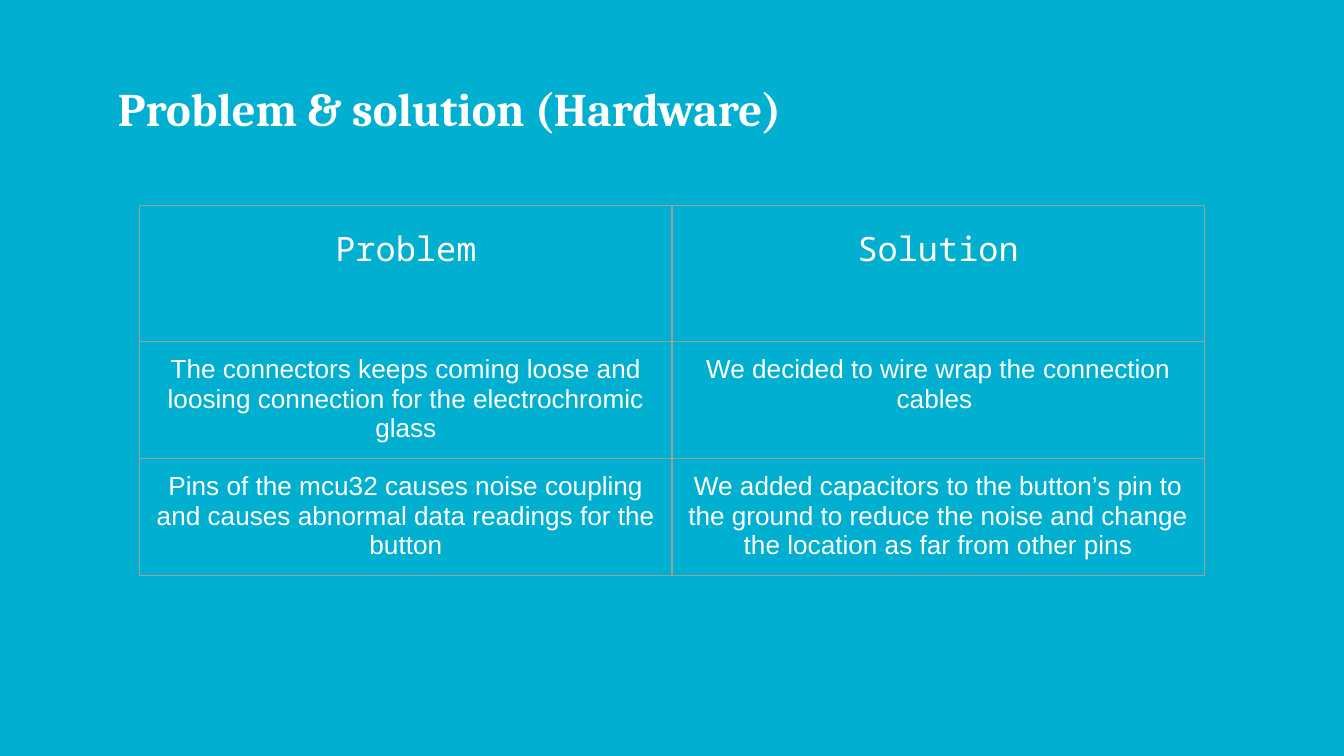
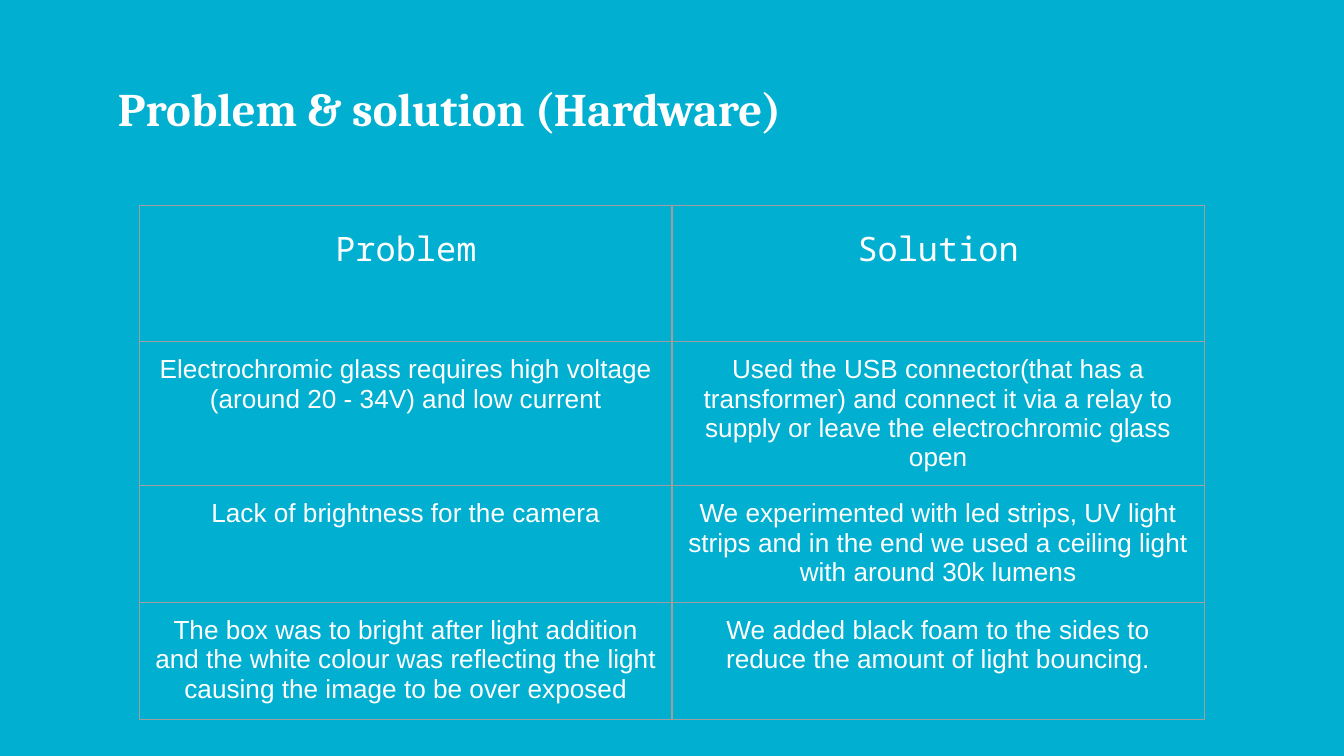
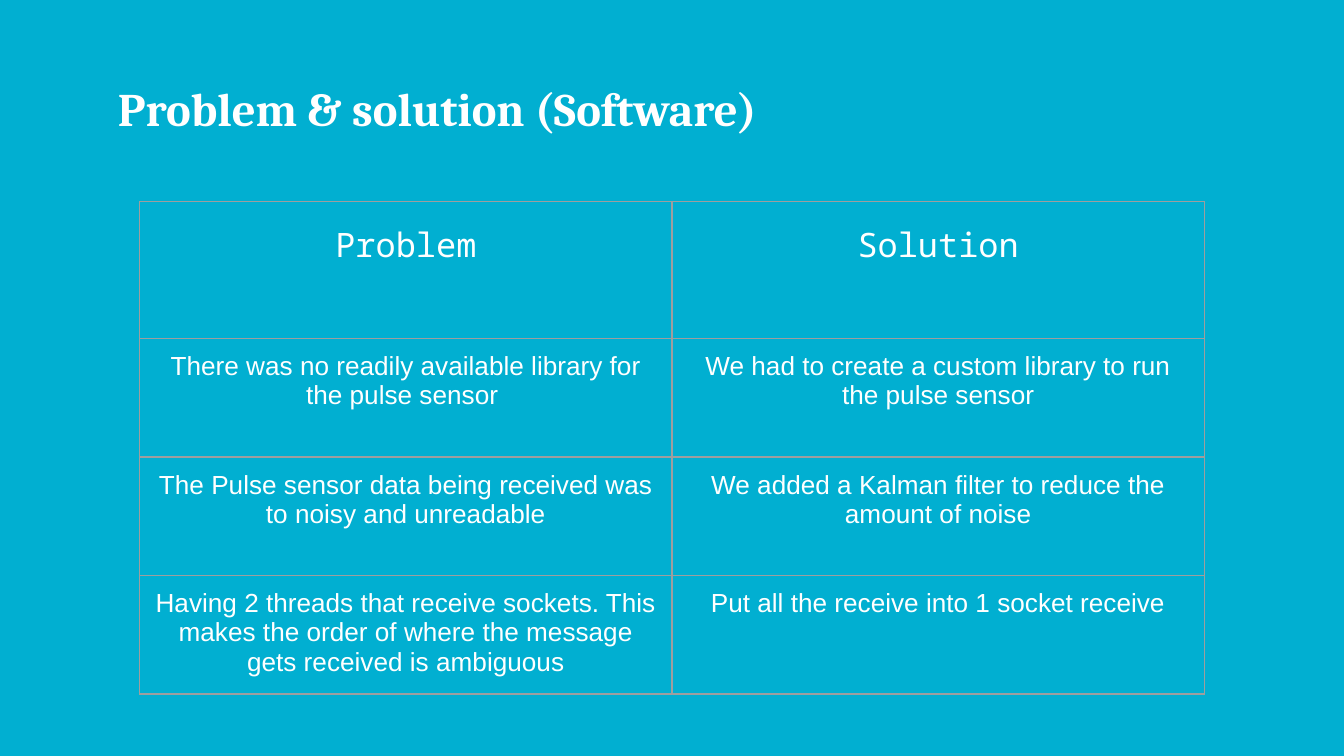
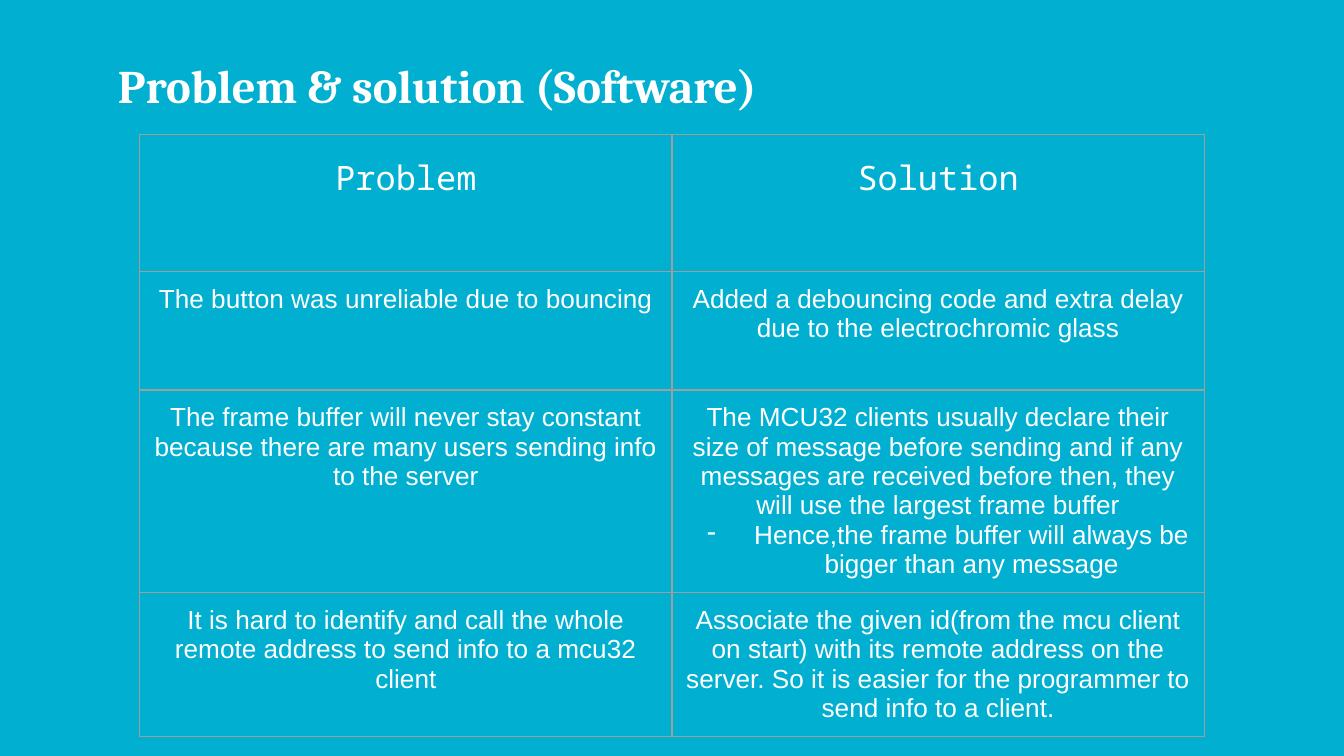
from dataclasses import dataclass
from lxml.etree import SubElement
from pptx import Presentation
from pptx.dml.color import RGBColor as Rgb
from pptx.enum.text import MSO_ANCHOR as Anchor, MSO_AUTO_SIZE as Fit, PP_ALIGN as Align
from pptx.oxml.ns import qn
from pptx.util import Cm, Pt

HEADS = ("Problem", "Solution")

SLIDES = [
    dict(
        title="Problem & solution (Hardware)", title_top=1.24,
        top=3.89, head=2.57, row=2.21,
        pairs=[
            ("The connectors keeps coming loose and loosing connection for the electrochromic glass",
             "We decided to wire wrap the connection cables "),
            ("Pins of the mcu32 causes noise coupling and causes abnormal data readings for the button",
             "We added capacitors to the button’s pin to the ground to reduce the noise "
             "and change the location as far from other pins"),
        ],
    ),
    dict(
        title="Problem & solution (Hardware)", title_top=1.24,
        top=3.89, head=2.57, row=2.21,
        pairs=[
            ("Electrochromic glass requires high voltage (around 20 - 34V) and low current",
             "Used the USB connector(that has a transformer) and connect it via a relay "
             "to supply or leave the electrochromic glass open"),
            ("Lack of brightness for the camera",
             "We experimented with led strips, UV light strips and in the end "
             "we used a ceiling light with around 30k lumens"),
            ("The box was to bright after light addition and the white colour was "
             "reflecting the light causing the image to be over exposed",
             "We added black foam to the sides to reduce the amount of light bouncing."),
        ],
    ),
    dict(
        title="Problem & solution (Software)", title_top=1.24,
        top=3.81, head=2.59, row=2.24,
        pairs=[
            ("There was no readily available library for the pulse sensor ",
             "We had to create a custom library to run the pulse sensor"),
            ("The Pulse sensor data being received was to noisy and unreadable",
             "We added a Kalman filter to reduce the amount of noise"),
            ("Having 2 threads that receive sockets. This makes the order of "
             "where the message gets received is ambiguous",
             "Put all the receive into 1 socket receive"),
        ],
    ),
    dict(
        title="Problem & solution (Software)", title_top=0.81,
        top=2.54, head=2.59, row=2.24,
        pairs=[
            ("The button was unreliable due to bouncing",
             "Added a debouncing code and extra delay due to the electrochromic glass"),
            ("The frame buffer will never stay constant because there are many users "
             "sending info to the server",
             ("The MCU32 clients usually declare their size of message before sending and if any "
              "messages are received before then, they will use the largest frame buffer",
              "Hence,the frame buffer will always be bigger than any message")),
            ("It is hard to identify and call the whole remote address to send info to a mcu32 client",
             "Associate the given id(from the mcu client on start) with its remote address on the "
             "server. So it is easier for the programmer to send info to a client."),
        ],
    ),
]


@dataclass(frozen=True)
class Theme:
    back: str = "01AFD1"
    ink: str = "FFFFFF"
    rule: str = "9E9E9E"
    rule_width: float = 0.75
    title: tuple = ("Cambria", 25, True)
    head: tuple = ("Noto Sans Mono", 18, False)
    body: tuple = ("Arial", 14, False)
    pad: float = 0.25


THEME = Theme()
LEFT, COL = 2.64, 10.06


def style(para, face):
    font = para.font
    font.name, size, font.bold = face
    font.size = Pt(size)
    font.color.rgb = Rgb.from_string(THEME.ink)


def pad(box):
    box.margin_left = box.margin_right = box.margin_top = box.margin_bottom = Cm(THEME.pad)


def color(parent, value):
    SubElement(parent, qn("a:srgbClr"), val=value)


def dash(para):
    props = para._p.get_or_add_pPr()
    props.set("marL", str(Cm(1.27)))
    props.set("indent", str(Cm(-0.89)))
    color(SubElement(props, qn("a:buClr")), THEME.ink)
    SubElement(props, qn("a:buChar"), char="-")


def border(cell):
    props = cell._tc.get_or_add_tcPr()
    for side in ("lnL", "lnR", "lnT", "lnB"):
        line = SubElement(props, qn(f"a:{side}"), w=str(Pt(THEME.rule_width)))
        color(SubElement(line, qn("a:solidFill")), THEME.rule)


def fill_cell(cell, text, is_head):
    pad(cell)
    border(cell)
    cell.fill.background()
    lines = (text,) if isinstance(text, str) else text
    frame = cell.text_frame
    for i, line in enumerate(lines):
        para = frame.add_paragraph() if i else frame.paragraphs[0]
        para.text = line
        para.alignment = Align.CENTER
        if is_head:
            para.line_spacing = 1.15
        if i:
            dash(para)
        style(para, THEME.head if is_head else THEME.body)


def add_title(slide, text, top):
    title = slide.shapes.title
    title.left, title.top, title.width, title.height = Cm(1.98), Cm(top), Cm(21.44), Cm(1.6)
    frame = title.text_frame
    frame.text = text
    frame.auto_size = Fit.NONE
    frame.vertical_anchor = Anchor.MIDDLE
    pad(frame)
    para = frame.paragraphs[0]
    para.alignment = Align.LEFT
    style(para, THEME.title)


def add_grid(slide, data):
    rows = [HEADS, *data["pairs"]]
    tall = data["head"] + data["row"] * len(data["pairs"])
    table = slide.shapes.add_table(
        len(rows), len(HEADS), Cm(LEFT), Cm(data["top"]), Cm(COL * len(HEADS)), Cm(tall)).table
    table.first_row = table.horz_banding = False
    for col in table.columns:
        col.width = Cm(COL)
    for i, row in enumerate(rows):
        table.rows[i].height = Cm(data["row"] if i else data["head"])
        for j, text in enumerate(row):
            fill_cell(table.cell(i, j), text, i == 0)


def main():
    deck = Presentation()
    deck.slide_width, deck.slide_height = Cm(25.4), Cm(14.29)
    back = deck.slide_master.background.fill
    back.solid()
    back.fore_color.rgb = Rgb.from_string(THEME.back)
    for data in SLIDES:
        slide = deck.slides.add_slide(deck.slide_layouts[5])
        add_title(slide, data["title"], data["title_top"])
        add_grid(slide, data)
    deck.save("out.pptx")


if __name__ == "__main__":
    main()
